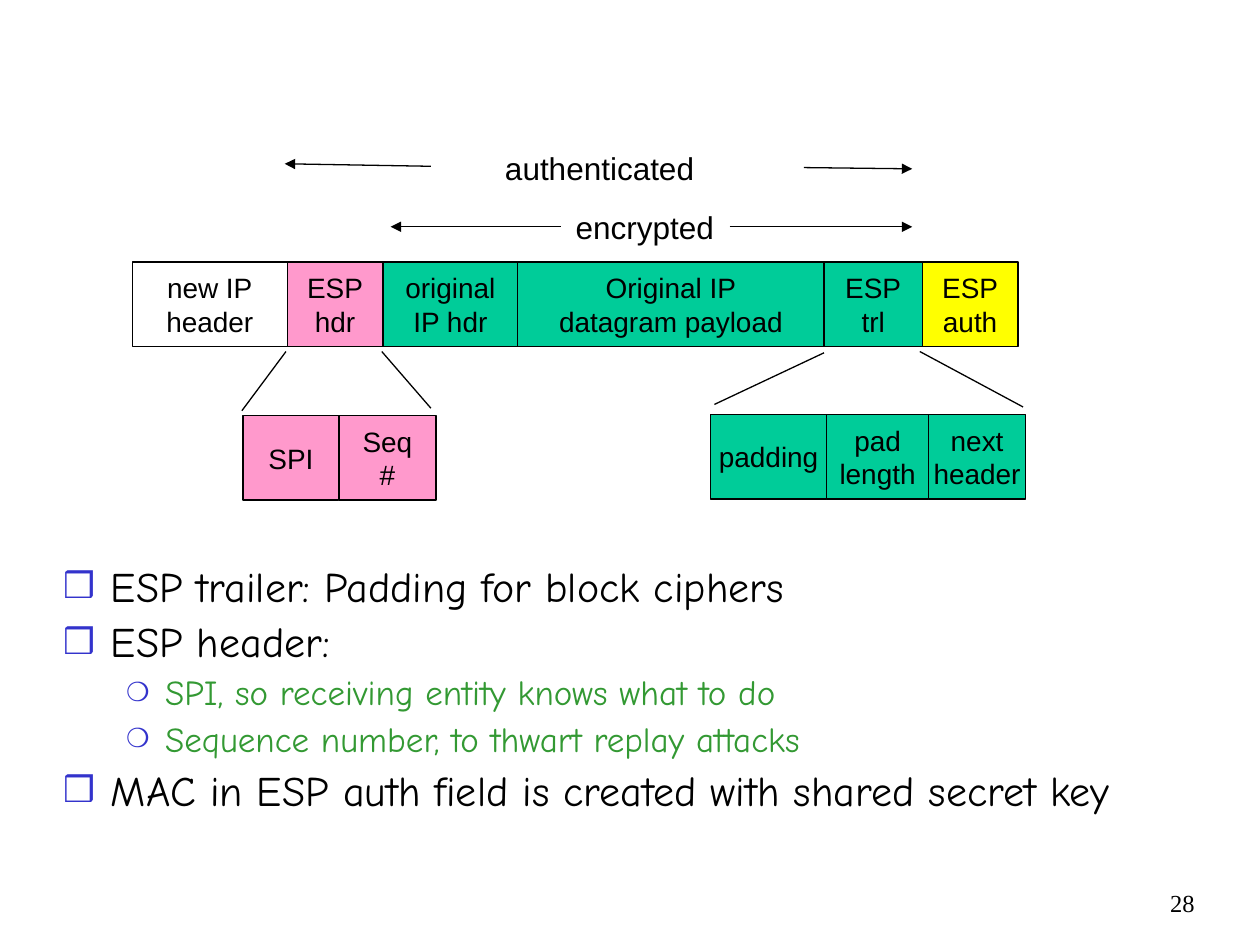
"""Build the slide on the ESP packet layout."""
from lxml import etree
from pptx import Presentation
from pptx.dml.color import RGBColor
from pptx.enum import shapes, text
from pptx.oxml import ns
from pptx.util import Inches, Pt

COLORS = {"black": "000000", "white": "FFFFFF", "pink": "FF99CC", "teal": "00CC99",
          "yellow": "FFFF00", "blue": "3333CC", "green": "339933"}
FIELD_HEIGHT = 0.67
FIELD_ROWS = [
    (1.05, 2.08, [("new IP\vheader", 1.23, "white"), ("ESP\nhdr", 0.76, "pink"),
                  ("original\vIP hdr", 1.07, "teal"),
                  ("Original IP\ndatagram payload", 2.43, "teal"),
                  ("ESP\ntrl", 0.78, "teal"), ("ESP\nauth", 0.76, "yellow")]),
    (1.93, 3.3, [("SPI", 0.76, "pink"), ("Seq\n#", 0.77, "pink")]),
    (5.64, 3.29, [("padding", 0.92, "teal"), ("pad\vlength", 0.81, "teal"),
                  ("next\vheader", 0.77, "teal")]),
]
SPAN_LABELS = [("authenticated", 3.91, 1.13, 1.9), ("encrypted", 4.47, 1.6, 1.3)]
ARROWS = [(5.79, 1.8, 7.24, 1.8), (4.45, 1.8, 3.1, 1.8),
          (6.38, 1.33, 7.24, 1.34), (3.42, 1.32, 2.26, 1.3)]
ZOOM_LINES = [(5.67, 3.21, 6.54, 2.8), (8.12, 3.23, 7.3, 2.79),
              (1.92, 3.26, 2.27, 2.79), (3.03, 2.79, 3.42, 3.24)]
POINTS = [
    (0, "ESP trailer: Padding for block ciphers"),
    (0, "ESP header:"),
    (1, "SPI, so receiving entity knows what to do"),
    (1, "Sequence number, to thwart replay attacks"),
    (0, "MAC in ESP auth field is created with shared secret key"),
]
LEVELS = [
    {"size": 24, "color": "black", "before": 6, "margin": 0.38, "indent": -0.38,
     "bullet": "❒", "percent": 85},
    {"size": 20, "color": "green", "before": 5, "margin": 0.81, "indent": -0.31,
     "bullet": "❍", "percent": 75},
]


def rgb(name):
    """Return the named colour."""
    return RGBColor.from_string(COLORS[name])


def write(frame, words, size=16, font="Arial", color="black",
          align=text.PP_ALIGN.LEFT, wrap=False):
    """Fill a text frame with formatted words."""
    frame.word_wrap = wrap
    frame.text = words
    for para in frame.paragraphs:
        para.alignment = align
        for span in para.runs:
            style(span, size, font, color)


def style(span, size, font, color):
    """Set the font of a run."""
    span.font.size = Pt(size)
    span.font.name = font
    span.font.color.rgb = rgb(color)


def add_field(page, words, left, top, width, fill):
    """Draw one packet field."""
    box = page.shapes.add_shape(shapes.MSO_SHAPE.RECTANGLE, Inches(left), Inches(top),
                                Inches(width), Inches(FIELD_HEIGHT))
    box.shadow.inherit = False
    box.fill.solid()
    box.fill.fore_color.rgb = rgb(fill)
    box.line.color.rgb = rgb("black")
    box.line.width = Pt(0.75)
    box.text_frame.vertical_anchor = text.MSO_ANCHOR.MIDDLE
    write(box.text_frame, words, align=text.PP_ALIGN.CENTER)


def add_label(page, words, left, top, width, height, **formats):
    """Place a text box."""
    box = page.shapes.add_textbox(Inches(left), Inches(top), Inches(width), Inches(height))
    write(box.text_frame, words, **formats)


def add_line(page, ends, arrow=False):
    """Draw a straight line, with an arrowhead at its end if asked."""
    line = page.shapes.add_connector(shapes.MSO_CONNECTOR.STRAIGHT,
                                     *[Inches(value) for value in ends])
    line.line.color.rgb = rgb("black")
    line.line.width = Pt(0.75)
    if arrow:
        etree.SubElement(line.line._get_or_add_ln(), ns.qn("a:tailEnd"), type="triangle")
    etree.SubElement(line._element.spPr, ns.qn("a:effectLst"))


def add_bullet(para, level):
    """Give a paragraph its hanging bullet."""
    props = para._p.get_or_add_pPr()
    props.set("marL", str(Inches(level["margin"])))
    props.set("indent", str(Inches(level["indent"])))
    tint = etree.SubElement(props, ns.qn("a:buClr"))
    etree.SubElement(tint, ns.qn("a:srgbClr"), val=COLORS["blue"])
    etree.SubElement(props, ns.qn("a:buSzPct"), val=str(level["percent"] * 1000))
    etree.SubElement(props, ns.qn("a:buChar"), char=level["bullet"])


def fill_body(body):
    """Write the bulleted points."""
    body.left, body.top, body.width, body.height = map(Inches, (0.4, 4.44, 8.7, 2.59))
    frame = body.text_frame
    frame.auto_size = text.MSO_AUTO_SIZE.NONE
    for number, (depth, words) in enumerate(POINTS):
        level = LEVELS[depth]
        para = frame.add_paragraph() if number else frame.paragraphs[0]
        para.level = depth
        para.line_spacing = 0.9
        para.space_before = Pt(level["before"] if number else 0)
        add_bullet(para, level)
        span = para.add_run()
        span.text = words
        style(span, level["size"], "Comic Neue", level["color"])


def main():
    """Build and save the deck."""
    deck = Presentation()
    deck.slide_width, deck.slide_height = Inches(10), Inches(7.5)
    page = deck.slides.add_slide(deck.slide_layouts[1])
    title = page.shapes.title._element
    title.getparent().remove(title)
    add_label(page, "28", 9.08, 7, 0.5, 0.5, size=14, font="Times New Roman",
              align=text.PP_ALIGN.RIGHT, wrap=True)
    fill_body(page.placeholders[1])
    for left, top, fields in FIELD_ROWS:
        for words, width, fill in fields:
            add_field(page, words, left, top, width, fill)
            left += width
    for words, left, top, width in SPAN_LABELS:
        add_label(page, words, left, top, width, 0.4, size=18, wrap=True)
    for ends in ARROWS:
        add_line(page, ends, arrow=True)
    for ends in ZOOM_LINES:
        add_line(page, ends)
    deck.save("out.pptx")


if __name__ == "__main__":
    main()
